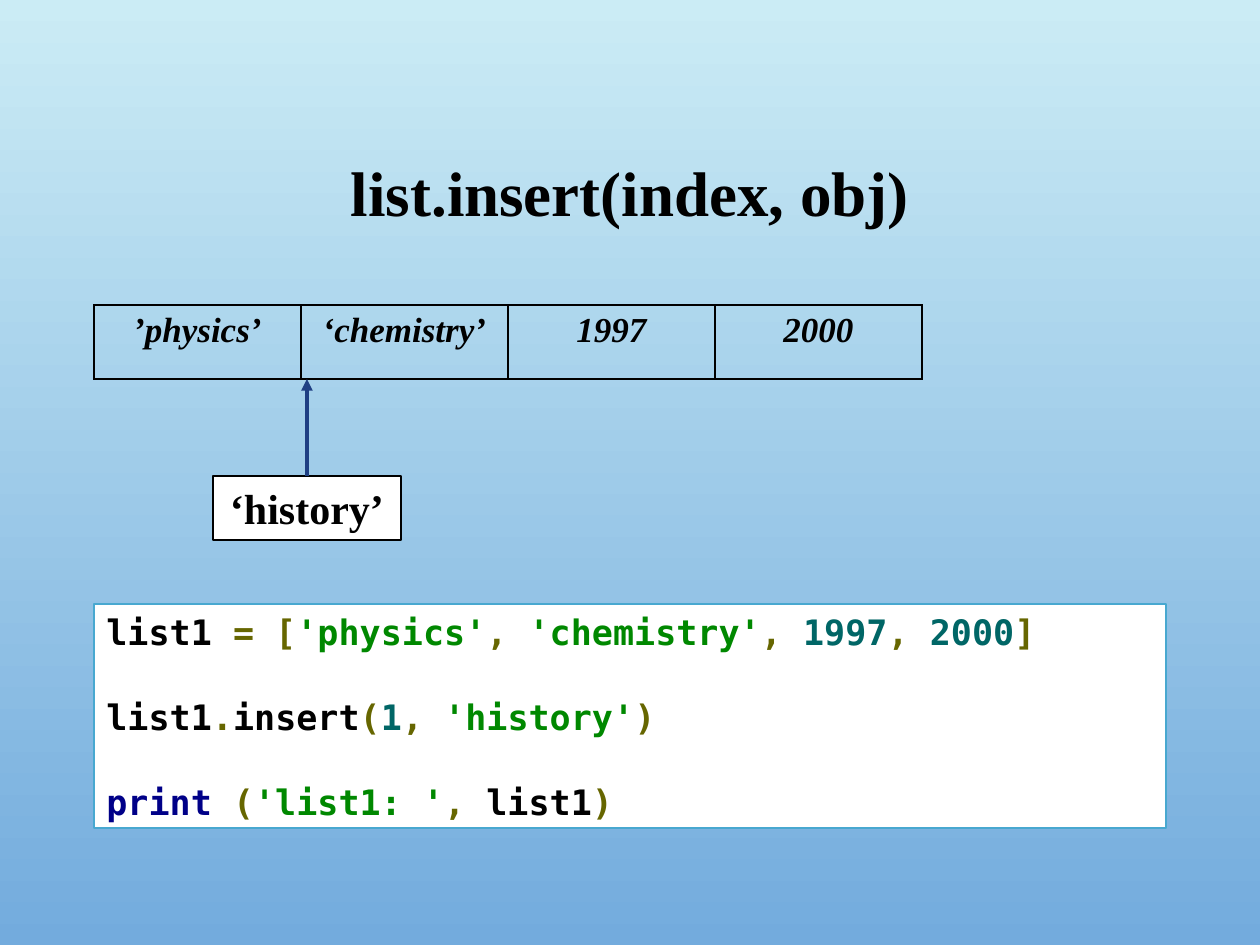
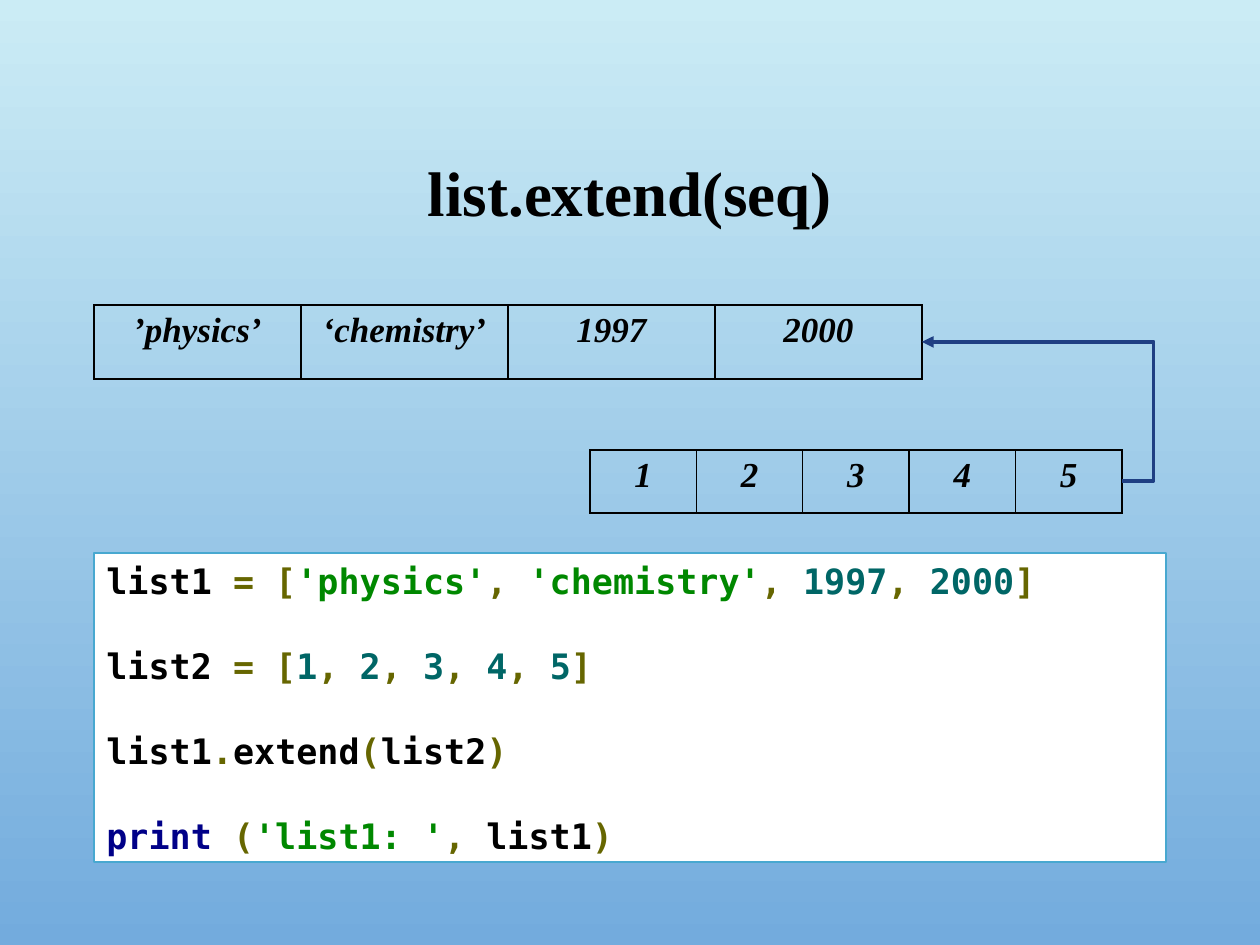
from itertools import groupby

from lxml.etree import SubElement
from pptx import Presentation
from pptx.dml.color import RGBColor
from pptx.enum.shapes import MSO_CONNECTOR, MSO_SHAPE
from pptx.enum.text import MSO_ANCHOR, PP_ALIGN
from pptx.oxml.ns import qn
from pptx.util import Pt

PX = 914400 / 126
WIDE, HIGH = 1260, 945
LEFT, SPAN = 94, 1072
SERIF, MONO = "Times New Roman", "DejaVu Sans Mono"
HUES = {
    "top": "CBECF5", "base": "73ABDD", "ink": "000000", "paper": "FFFFFF",
    "frame": "48A8D0", "arrow": "1F3F83",
    "sign": "666600", "text": "008800", "digit": "006666", "key": "000088",
}


def emu(*sizes):
    return [round(size * PX) for size in sizes]


def hue(name):
    return RGBColor.from_string(HUES[name])


def tokens(line):
    """Yield (text, colour name) for each part of a line of code."""
    for spot, part in enumerate(line.split("'")):
        if spot % 2:
            yield f"'{part}'", "text"
            continue
        for word, chars in groupby(part, str.isalnum):
            piece = "".join(chars)
            if not word:
                yield piece, "sign"
            elif piece.isdigit():
                yield piece, "digit"
            else:
                yield piece, "key" if piece == "print" else "ink"


class Deck:
    def __init__(self):
        self.prs = Presentation()
        self.prs.slide_width, self.prs.slide_height = emu(WIDE, HIGH)
        self.slide = None
        # Shared background
        fill = self.prs.slide_master.background.fill
        fill.gradient()
        fill.gradient_angle = 270
        for stop, name, place in zip(fill.gradient_stops, ("top", "base"), (0, 1)):
            stop.color.rgb = hue(name)
            stop.position = place

    def style(self, para, size, face=SERIF, italic=False):
        font = para.font
        font.name, font.size = face, Pt(size)
        font.bold, font.italic = True, italic
        font.color.rgb = hue("ink")
        para.alignment = PP_ALIGN.LEFT if face == MONO else PP_ALIGN.CENTER

    def page(self, title):
        self.slide = self.prs.slides.add_slide(self.prs.slide_layouts[5])
        head = self.slide.shapes.title
        head.left, head.top, head.width, head.height = emu(LEFT, 86, SPAN, 220)
        frame = head.text_frame
        frame.text = title
        frame.vertical_anchor = MSO_ANCHOR.MIDDLE
        para = frame.paragraphs[0]
        self.style(para, 36)
        para.line_spacing = 0.9

    def box(self, left, top, width, height, edge):
        shape = self.slide.shapes.add_shape(
            MSO_SHAPE.RECTANGLE, *emu(left, top, width, height))
        shape.shadow.inherit = False
        shape.fill.solid()
        shape.fill.fore_color.rgb = hue("paper")
        shape.line.color.rgb = hue(edge)
        shape.line.width = Pt(1.25)
        frame = shape.text_frame
        frame.word_wrap = True
        frame.vertical_anchor = MSO_ANCHOR.TOP
        return frame

    def label(self, text, left, top, width, height):
        frame = self.box(left, top, width, height, "ink")
        frame.text = text
        self.style(frame.paragraphs[0], 24)

    def code(self, lines, top, height):
        frame = self.box(LEFT, top, SPAN, height, "frame")
        for row, line in enumerate(lines):
            para = frame.add_paragraph() if row else frame.paragraphs[0]
            self.style(para, 20, MONO)
            para.space_before = Pt(24.7 if row else 0)
            for text, name in tokens(line):
                run = para.add_run()
                run.text = text
                run.font.color.rgb = hue(name)

    def cells(self, items, left, top, width, height):
        table = self.slide.shapes.add_table(
            1, len(items), *emu(left, top, width, height)).table
        table.first_row = table.horz_banding = False
        for cell, item in zip(table.rows[0].cells, items):
            cell.text = item
            self.style(cell.text_frame.paragraphs[0], 20, italic=True)
            props = cell._tc.get_or_add_tcPr()
            for side in "LRTB":
                edge = SubElement(props, qn(f"a:ln{side}"), w=str(Pt(1)))
                paint = SubElement(edge, qn("a:solidFill"))
                SubElement(paint, qn("a:srgbClr"), val=HUES["ink"])
            cell.fill.background()

    def arrow(self, start, end, bend=None):
        kind = MSO_CONNECTOR.STRAIGHT if bend is None else MSO_CONNECTOR.ELBOW
        link = self.slide.shapes.add_connector(kind, *emu(*start, *end))
        link.line.color.rgb = hue("arrow")
        link.line.width = Pt(2.25)
        props = link._element.spPr
        SubElement(props.find(qn("a:ln")), qn("a:tailEnd"), type="triangle")
        SubElement(props, qn("a:effectLst"))
        if bend is not None:
            shape = props.find(qn("a:prstGeom"))
            guides = shape.find(qn("a:avLst"))
            if guides is None:
                guides = SubElement(shape, qn("a:avLst"))
            SubElement(guides, qn("a:gd"), name="adj1", fmla=f"val {bend}")


def main():
    deck = Deck()
    items = ["’physics’", "‘chemistry’", "1997", "2000"]
    first = "list1 = ['physics', 'chemistry', 1997, 2000]"
    last = "print ('list1: ', list1)"
    row = (LEFT, 305, 828, 74)

    # Insert
    deck.page("list.insert(index, obj)")
    deck.code([first, "list1.insert(1, 'history')", last], 604, 224)
    deck.cells(items, *row)
    deck.label("‘history’", 213, 476, 188, 64)
    deck.arrow((307, 476), (307, 379))

    # Extend
    deck.page("list.extend(seq)")
    deck.code([first, "list2 = [1, 2, 3, 4, 5]", "list1.extend(list2)", last],
              553, 309)
    deck.cells(items, *row)
    deck.cells(list("12345"), 590, 450, 532, 63)
    deck.arrow((1122, 481), (922, 342), bend=-15800)

    deck.prs.save("out.pptx")


if __name__ == "__main__":
    main()
